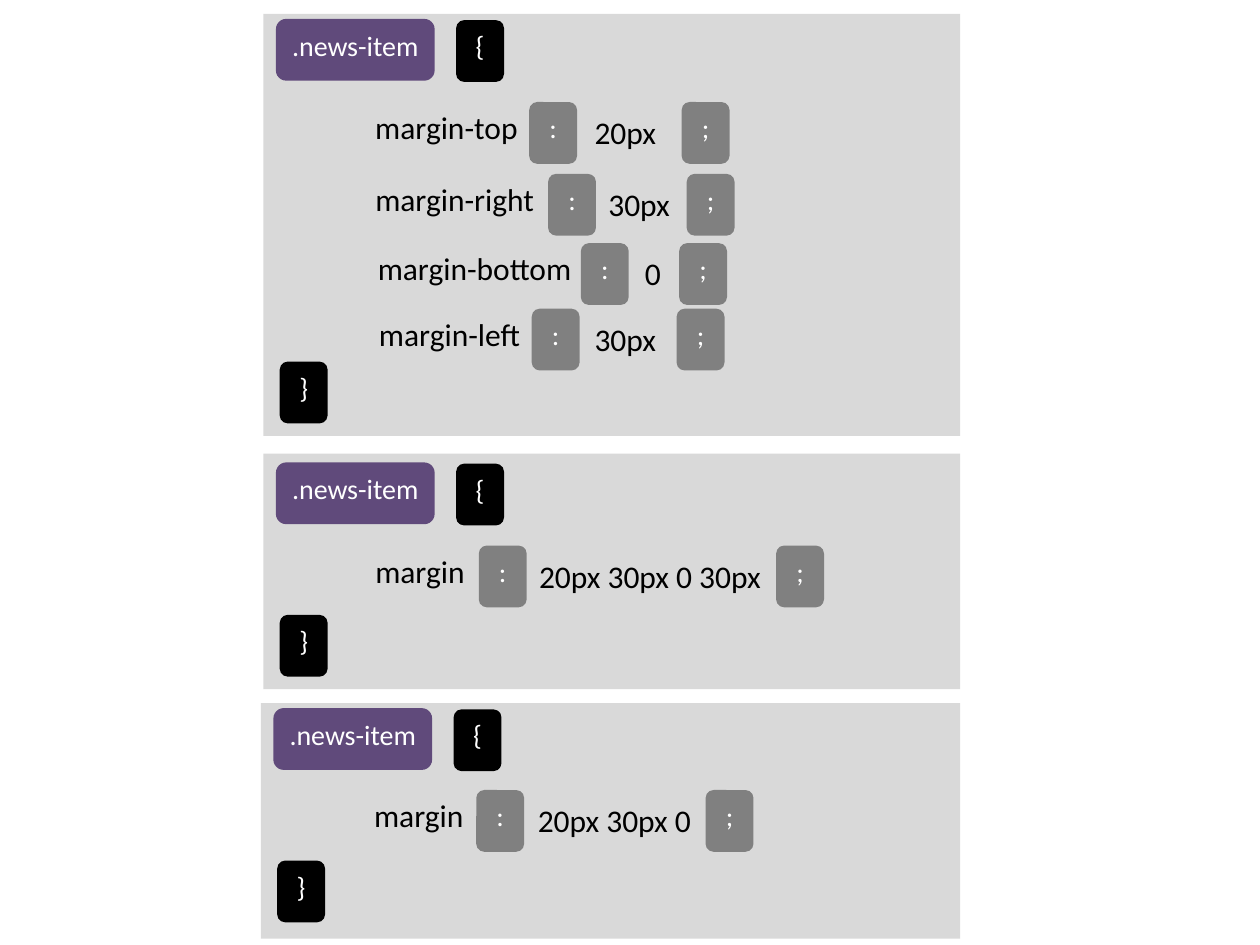
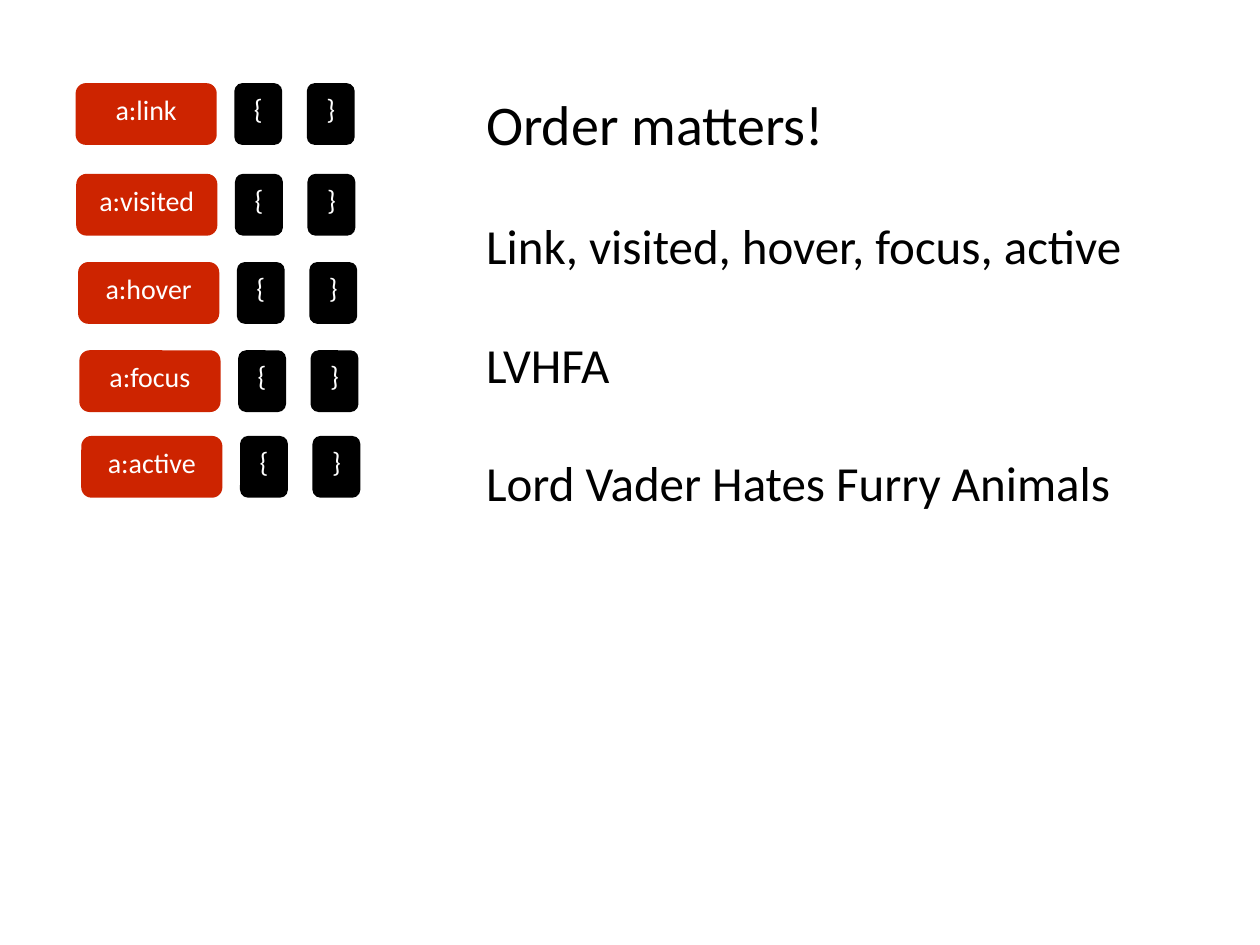
from dataclasses import dataclass

from pptx import Presentation
from pptx.dml.color import RGBColor
from pptx.enum.shapes import MSO_SHAPE
from pptx.enum.text import MSO_ANCHOR, MSO_AUTO_SIZE, PP_ALIGN
from pptx.util import Inches, Pt

FONT = "Calibri"
WHITE = RGBColor(0xFF, 0xFF, 0xFF)
BLACK = RGBColor(0x00, 0x00, 0x00)
PANEL = RGBColor(0xD9, 0xD9, 0xD9)
GREY = RGBColor(0x80, 0x80, 0x80)
PURPLE = RGBColor(0x60, 0x4A, 0x7B)
RED = RGBColor(0xCD, 0x24, 0x00)

# The slide is a grid of 100 columns by 75 rows.
CELL = Inches(0.1)
MARK = 3.8
CHIP = 4.9
LABEL = 4.0


@dataclass
class Decl:
    """One declaration; places are cells from the panel's left and top."""
    top: float
    name: str
    name_at: float
    name_wide: float
    colon: float
    value: str
    value_at: float
    value_wide: float
    semi: float


LONG = [
    Decl(7.0, "margin-top", 7.9, 13.4, 21.1, "20px", 25.3, 7.5, 33.2),
    Decl(12.7, "margin-right", 7.9, 14.8, 22.6, "30px", 26.4, 6.9, 33.6),
    Decl(18.2, "margin-bottom", 8.1, 17.6, 25.2, "0", 29.3, 3.3, 33.0),
    Decl(23.4, "margin-left", 8.2, 13.4, 21.3, "30px", 25.3, 6.9, 32.8),
]
FOUR = [Decl(7.3, "margin", 7.9, 9.2, 17.1, "20px 30px 0 30px", 20.9, 20.4, 40.7)]
THREE = [Decl(6.9, "margin", 8.0, 9.2, 17.1, "20px 30px 0", 21.0, 14.3, 35.3)]

# Left and top of each link state
STATES = [
    ("a:link", 6.0, 6.6),
    ("a:visited", 6.05, 13.8),
    ("a:hover", 6.2, 20.8),
    ("a:focus", 6.3, 27.8),
    ("a:active", 6.45, 34.6),
]
NOTES = [
    ("Order matters!", 32),
    ("Link, visited, hover, focus, active", 28),
    ("LVHFA", 28),
    ("Lord Vader Hates Furry Animals", 28),
]


def place(*cells):
    return [round(n * CELL) for n in cells]


def style(para, size, color):
    for run in para.runs:
        run.font.name = FONT
        run.font.size = Pt(size)
        run.font.color.rgb = color


def solid(slide, kind, box, color):
    shape = slide.shapes.add_shape(kind, *place(*box))
    shape.shadow.inherit = False
    shape.fill.solid()
    shape.fill.fore_color.rgb = color
    shape.line.fill.background()
    return shape


def chip(slide, text, left, top, color, wide=MARK):
    box = (left, top, wide, CHIP)
    frame = solid(slide, MSO_SHAPE.ROUNDED_RECTANGLE, box, color).text_frame
    frame.text = text
    frame.vertical_anchor = MSO_ANCHOR.TOP
    frame.word_wrap = True
    para = frame.paragraphs[0]
    para.alignment = PP_ALIGN.CENTER
    style(para, 16, WHITE)


def label(slide, text, left, top, wide):
    frame = slide.shapes.add_textbox(*place(left, top, wide, LABEL)).text_frame
    frame.word_wrap = False
    frame.auto_size = MSO_AUTO_SIZE.SHAPE_TO_FIT_TEXT
    frame.text = text
    style(frame.paragraphs[0], 18, BLACK)


def line(slide, decl, left, top):
    top += decl.top
    label(slide, decl.name, left + decl.name_at, top, decl.name_wide)
    label(slide, decl.value, left + decl.value_at, top + 0.4, decl.value_wide)
    chip(slide, ":", left + decl.colon, top, GREY)
    chip(slide, ";", left + decl.semi, top, GREY)


def rule(slide, box, head, close, decls):
    """Draw a CSS rule; head and close are rows from the panel's top."""
    left, top = box[:2]
    solid(slide, MSO_SHAPE.RECTANGLE, box, PANEL)
    chip(slide, ".news-item", left + 1, top + head, PURPLE, 12.6)
    chip(slide, "{", left + 15.3, top + head + 0.1, BLACK)
    chip(slide, "}", left + 1.3, top + close, BLACK)
    for decl in decls:
        line(slide, decl, left, top)


def state(slide, text, left, top):
    chip(slide, text, left, top, RED, 11.2)
    chip(slide, "{", left + 12.6, top, BLACK)
    chip(slide, "}", left + 18.35, top, BLACK)


def notes(slide, box):
    frame = slide.shapes.add_textbox(*place(*box)).text_frame
    frame.word_wrap = True
    frame.text = "\n".join(text for text, size in NOTES)
    for i, (para, (text, size)) in enumerate(zip(frame.paragraphs, NOTES)):
        style(para, size, BLACK)
        if i:
            para.space_before = Pt(34)


def main():
    deck = Presentation()
    deck.slide_width, deck.slide_height = place(100, 75)
    blank = deck.slide_layouts[6]

    margins = deck.slides.add_slide(blank)
    rule(margins, (20.9, 1.1, 55.3, 33.5), 0.4, 27.6, LONG)
    rule(margins, (20.9, 36.0, 55.3, 18.7), 0.7, 12.8, FOUR)
    rule(margins, (20.7, 55.8, 55.5, 18.7), 0.4, 12.5, THREE)

    links = deck.slides.add_slide(blank)
    for text, left, top in STATES:
        state(links, text, left, top)
    notes(links, (37.6, 6.6, 58.4, 34.7))

    deck.save("out.pptx")


if __name__ == "__main__":
    main()
